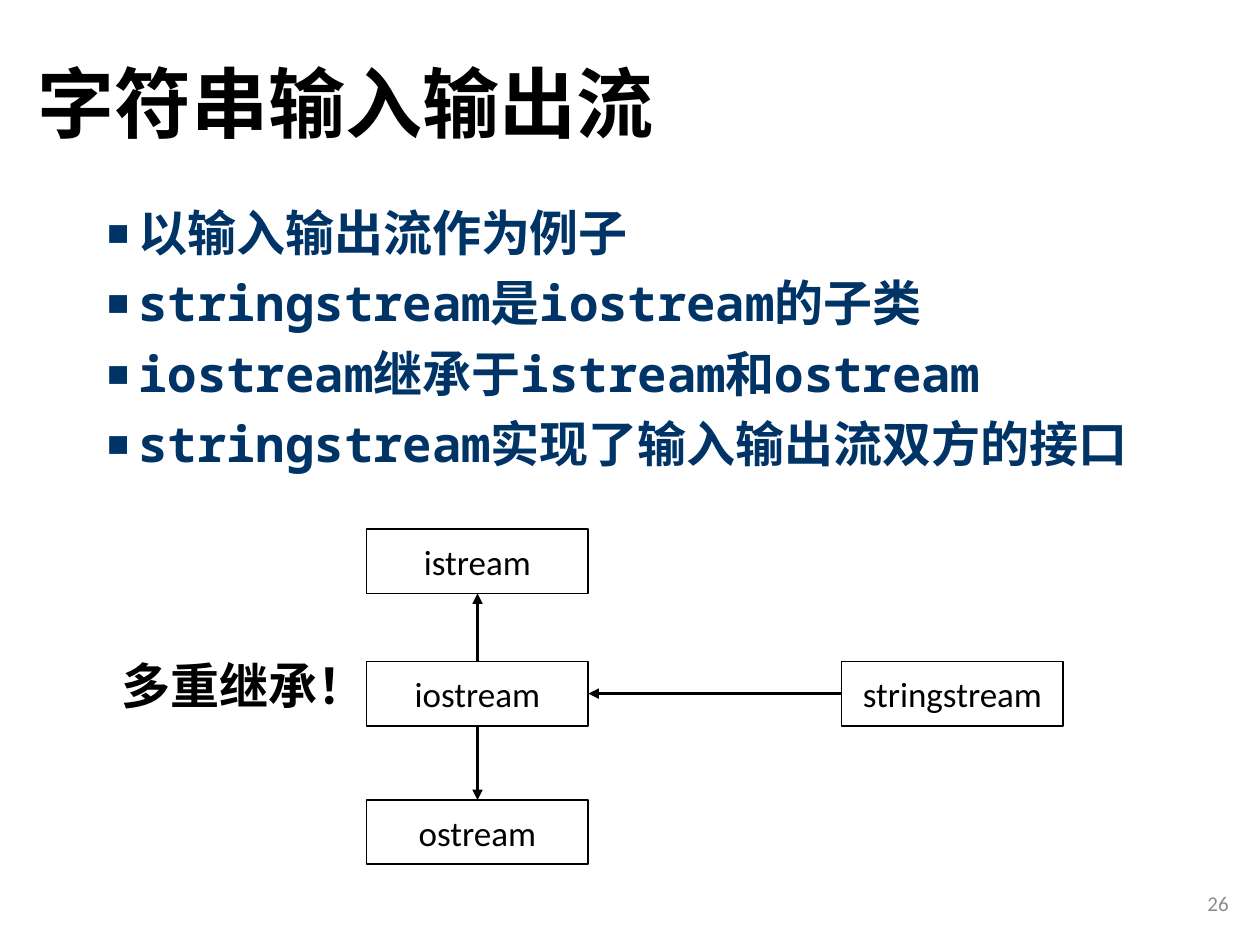
from dataclasses import dataclass, field

from lxml.etree import SubElement
from pptx import Presentation
from pptx.dml.color import RGBColor
from pptx.enum.shapes import MSO_CONNECTOR, MSO_SHAPE
from pptx.enum.text import MSO_ANCHOR, MSO_AUTO_SIZE, PP_ALIGN
from pptx.oxml.ns import qn
from pptx.slide import Slide
from pptx.util import Inches, Pt

COLORS = {"black": "000000", "white": "FFFFFF", "navy": "003366", "grey": "8C8C8C"}
TOP, LEFT, BOTTOM, RIGHT = range(4)


@dataclass
class Deck:
    """Holds the slide and its style and adds each kind of element."""

    s: Slide
    cjk: str = "Noto Sans CJK SC"
    sans: str = "Calibri"
    mono: str = "Noto Sans Mono"
    colors: dict = field(default_factory=lambda: COLORS)

    def color(self, name):
        return RGBColor.from_string(self.colors[name])

    def place(self, sp, x, y, w, h):
        sp.left, sp.top, sp.width, sp.height = map(Inches, (x, y, w, h))

    def run(self, p, text, size, font, color="black", bold=False):
        r = p.add_run()
        r.text = text
        r.font.size, r.font.name, r.font.bold = Pt(size), font, bold
        r.font.color.rgb = self.color(color)
        ea = SubElement(r.font._element, qn("a:ea"), typeface=self.cjk)
        r.font._element.find(qn("a:latin")).addnext(ea)

    def title(self, text, *box):
        sp = self.s.shapes.title
        self.place(sp, *box)
        tf = sp.text_frame
        tf.auto_size, tf.vertical_anchor = MSO_AUTO_SIZE.NONE, MSO_ANCHOR.MIDDLE
        p = tf.paragraphs[0]
        p.alignment, p.line_spacing = PP_ALIGN.LEFT, 0.9
        self.run(p, text, 44, self.cjk, bold=True)

    def bullets(self, items, *box):
        sp = self.s.placeholders[1]
        self.place(sp, *box)
        tf = sp.text_frame
        tf.auto_size = MSO_AUTO_SIZE.NONE
        for i, text in enumerate(items):
            p = tf.add_paragraph() if i else tf.paragraphs[0]
            p.line_spacing, p.space_before = 0.9, Pt(10)
            pPr = p._p.get_or_add_pPr()
            pPr.set("marL", str(Inches(0.25)))
            pPr.set("indent", str(Inches(-0.25)))
            SubElement(pPr, qn("a:buSzPct"), val="75000")
            SubElement(pPr, qn("a:buChar"), char="■")
            self.run(p, text, 28, self.mono, "navy", True)

    def text(self, text, box, size, color="black", bold=False, align=PP_ALIGN.LEFT, wrap=True):
        tf = self.s.shapes.add_textbox(*map(Inches, box)).text_frame
        tf.word_wrap = wrap
        tf.vertical_anchor = MSO_ANCHOR.MIDDLE
        p = tf.paragraphs[0]
        p.alignment = align
        self.run(p, text, size, self.sans, color, bold)

    def box(self, text, x, y, w=1.76, h=0.51):
        sp = self.s.shapes.add_shape(MSO_SHAPE.RECTANGLE, *map(Inches, (x, y, w, h)))
        sp.shadow.inherit = False
        sp.fill.solid()
        sp.fill.fore_color.rgb = self.color("white")
        sp.line.color.rgb = self.color("black")
        sp.line.width = Pt(1)
        tf = sp.text_frame
        tf.vertical_anchor = MSO_ANCHOR.MIDDLE
        p = tf.paragraphs[0]
        p.alignment = PP_ALIGN.CENTER
        self.run(p, text, 20, self.sans)
        return sp

    def arrow(self, start, start_site, end, end_site):
        c = self.s.shapes.add_connector(MSO_CONNECTOR.STRAIGHT, 0, 0, 0, 0)
        c.begin_connect(start, start_site)
        c.end_connect(end, end_site)
        c.line.color.rgb = self.color("black")
        c.line.width = Pt(1.5)
        SubElement(c.line._get_or_add_ln(), qn("a:tailEnd"), type="triangle")
        SubElement(c._element.spPr, qn("a:effectLst"))


prs = Presentation()
prs.slide_width, prs.slide_height = Inches(10), Inches(7.5)
deck = Deck(prs.slides.add_slide(prs.slide_layouts[1]))

deck.title("字符串输入输出流", 0.2, 0.13, 8.62, 1.45)
deck.bullets(
    [
        "以输入输出流作为例子",
        "stringstream是iostream的子类",
        "iostream继承于istream和ostream",
        "stringstream实现了输入输出流双方的接口",
    ],
    0.75, 1.61, 8.8, 5.19,
)
deck.text("26", (7.6, 6.97, 2.25, 0.4), 12, "grey", align=PP_ALIGN.RIGHT)

istream = deck.box("istream", 2.91, 4.2)
iostream = deck.box("iostream", 2.91, 5.25)
ostream = deck.box("ostream", 2.91, 6.35)
stringstream = deck.box("stringstream", 6.68, 5.25)
deck.arrow(stringstream, LEFT, iostream, RIGHT)
deck.arrow(iostream, TOP, istream, BOTTOM)
deck.arrow(iostream, BOTTOM, ostream, TOP)
deck.text("多重继承！", (0.87, 5.15, 2.17, 0.57), 28, bold=True, wrap=False)

prs.save("out.pptx")
